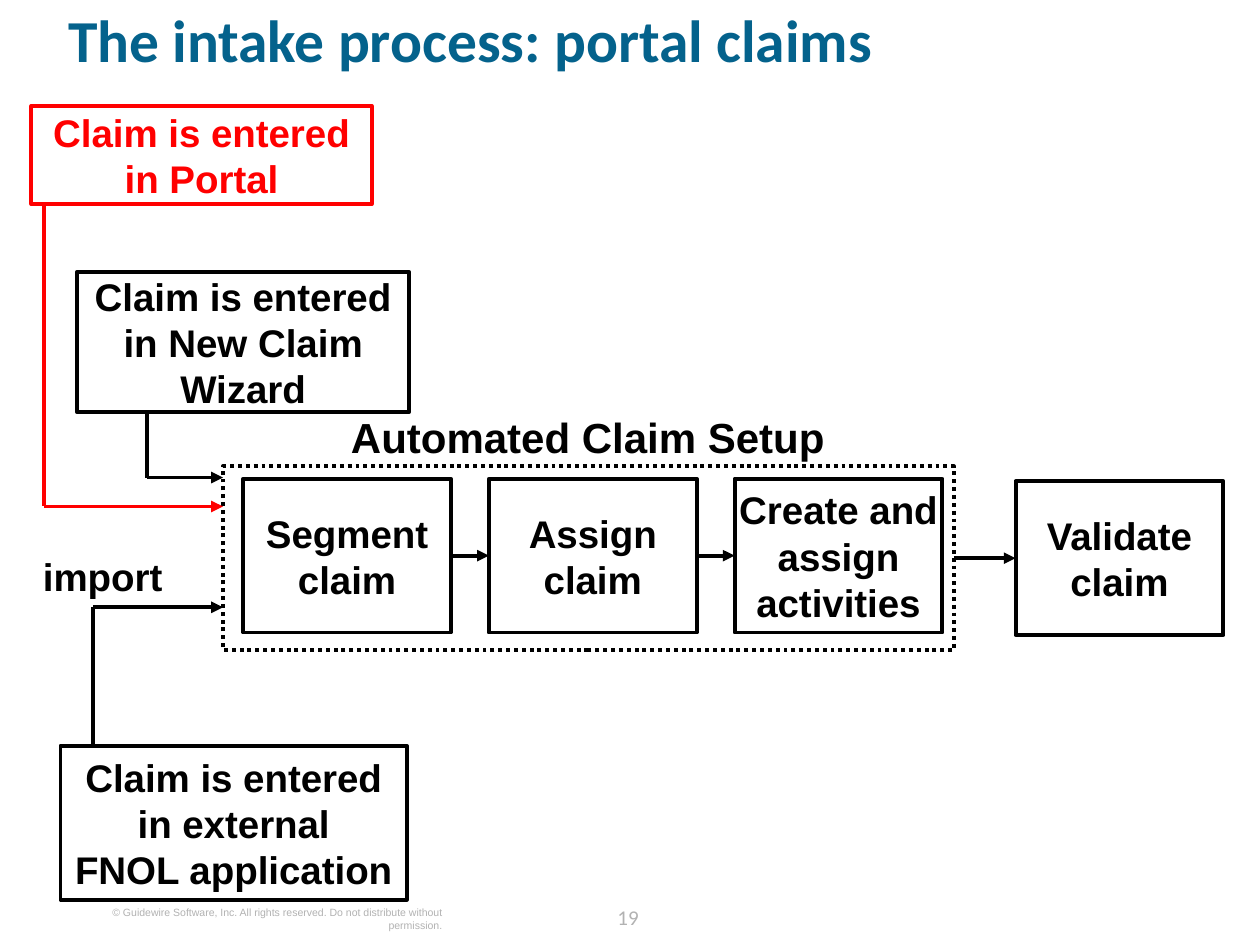
from lxml import etree
from pptx import Presentation
from pptx.dml.color import RGBColor
from pptx.enum import dml, shapes, text
from pptx.oxml.ns import qn
from pptx.util import Inches, Pt

COLORS = {
    "black": "000000",
    "white": "FFFFFF",
    "red": "FF0000",
    "title": "04628C",
    "footer": "B2B2B2",
}
LINE_WIDTH = Pt(2.25)
BOX_WIDTH, BOX_HEIGHT = 1.65, 1.22
STEP_LEFT, STEP_TOP, STEP_PITCH = 1.93, 3.8, 1.95
STEPS = ["Segment\nclaim", "Assign\nclaim", "Create and assign activities"]


def rgb(name):
    return RGBColor.from_string(COLORS[name])


def write(shape, content, size, color="black", font="Arial", bold=True,
          align=text.PP_ALIGN.CENTER, anchor=text.MSO_ANCHOR.MIDDLE,
          spacing=None, inset=0):
    frame = shape.text_frame
    frame.word_wrap = True
    frame.vertical_anchor = anchor
    frame.margin_left = frame.margin_right = Inches(inset)
    frame.margin_top = frame.margin_bottom = 0
    paragraph = frame.paragraphs[0]
    paragraph.alignment = align
    if spacing:
        paragraph.line_spacing = spacing
    for index, line in enumerate(content.split("\n")):
        if index:
            paragraph.add_line_break()
        run = paragraph.add_run()
        run.text = line
        run.font.name = font
        run.font.size = Pt(size)
        run.font.bold = bold
        run.font.color.rgb = rgb(color)


def add_label(slide, left, top, width, height, content, size, **style):
    label = slide.shapes.add_textbox(
        Inches(left), Inches(top), Inches(width), Inches(height))
    write(label, content, size, **style)


def add_rectangle(slide, left, top, width, height, color="black"):
    rectangle = slide.shapes.add_shape(
        shapes.MSO_SHAPE.RECTANGLE,
        Inches(left), Inches(top), Inches(width), Inches(height))
    rectangle.shadow.inherit = False
    rectangle.line.color.rgb = rgb(color)
    rectangle.line.width = LINE_WIDTH
    return rectangle


def add_box(slide, left, top, width, height, content, color="black", inset=0):
    box = add_rectangle(slide, left, top, width, height, color)
    box.fill.solid()
    box.fill.fore_color.rgb = rgb("white")
    write(box, content, 22, color=color, inset=inset)
    return box


def add_frame(slide, left, top, width, height):
    frame = add_rectangle(slide, left, top, width, height)
    frame.fill.background()
    frame.line.dash_style = dml.MSO_LINE.ROUND_DOT
    return frame


def add_line(slide, start=(0, 0), end=(0, 0), color="black", arrow=False):
    connector = slide.shapes.add_connector(
        shapes.MSO_CONNECTOR.STRAIGHT, *map(Inches, (*start, *end)))
    connector.line.color.rgb = rgb(color)
    connector.line.width = LINE_WIDTH
    properties = connector._element.spPr
    etree.SubElement(properties, qn("a:effectLst"))
    if arrow:
        tail = etree.SubElement(properties.find(qn("a:ln")), qn("a:tailEnd"))
        tail.set("type", "triangle")
    return connector


def add_elbow_arrow(slide, start, end, color="black"):
    corner = (start[0], end[1])
    add_line(slide, start, corner, color)
    add_line(slide, corner, end, color, arrow=True)


def join(slide, source, target):
    connector = add_line(slide, arrow=True)
    connector.begin_connect(source, 3)
    connector.end_connect(target, 1)


def add_setup_flow(slide):
    frame = add_frame(slide, 1.77, 3.7, 5.8, 1.46)
    add_label(slide, 2.48, 3.27, 4.37, 0.4, "Automated Claim Setup", 24)
    steps = [
        add_box(slide, STEP_LEFT + index * STEP_PITCH, STEP_TOP,
                BOX_WIDTH, BOX_HEIGHT, content)
        for index, content in enumerate(STEPS)
    ]
    validate = add_box(slide, 8.06, 3.82, BOX_WIDTH, BOX_HEIGHT,
                       "Validate\nclaim")
    for source, target in zip(steps, steps[1:]):
        join(slide, source, target)
    join(slide, frame, validate)


def add_intake_sources(slide):
    add_box(slide, 0.25, 0.84, 2.7, 0.78, "Claim is entered in Portal",
            color="red", inset=0.1)
    add_elbow_arrow(slide, (0.35, 1.62), (1.77, 4.02), color="red")
    add_box(slide, 0.61, 2.16, 2.64, 1.11,
            "Claim is entered in New Claim Wizard", inset=0.1)
    add_elbow_arrow(slide, (1.17, 3.27), (1.77, 3.79))
    add_box(slide, 0.48, 5.92, 2.75, BOX_HEIGHT,
            "Claim is entered in external\nFNOL application", inset=0.1)
    add_elbow_arrow(slide, (0.74, 5.92), (1.77, 4.82))
    add_label(slide, 0.34, 4.39, 1.15, 0.37, "import", 22,
              align=text.PP_ALIGN.LEFT)


def add_footer(slide):
    add_label(slide, 0.61, 7.19, 2.9, 0.2,
              "© Guidewire Software, Inc. All rights reserved. "
              "Do not distribute without permission.",
              6, color="footer", bold=False, align=text.PP_ALIGN.RIGHT,
              anchor=text.MSO_ANCHOR.TOP)
    add_label(slide, 4.7, 7.13, 0.57, 0.25, "19", 12, color="footer",
              font="Calibri", bold=False, anchor=text.MSO_ANCHOR.TOP,
              spacing=Pt(18))


def main():
    presentation = Presentation()
    presentation.slide_width = Inches(10)
    presentation.slide_height = Inches(7.5)
    slide = presentation.slides.add_slide(presentation.slide_layouts[6])
    add_label(slide, 0.54, 0.13, 9.1, 0.81, "The intake process: portal claims",
              34, color="title", font="Calibri", align=text.PP_ALIGN.LEFT,
              anchor=text.MSO_ANCHOR.TOP, spacing=0.8)
    add_setup_flow(slide)
    add_intake_sources(slide)
    add_footer(slide)
    presentation.save("out.pptx")


if __name__ == "__main__":
    main()
